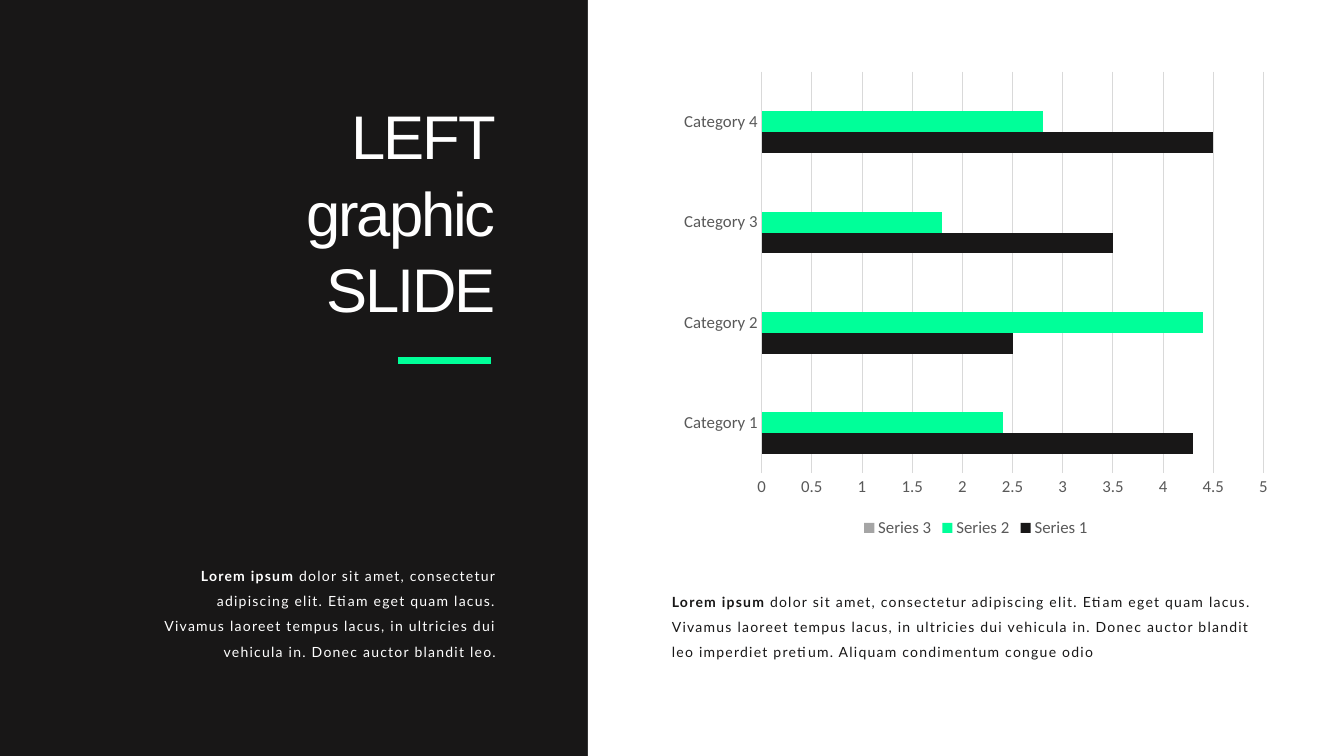
from dataclasses import dataclass

from lxml import etree
from pptx import Presentation
from pptx.chart.data import CategoryChartData
from pptx.dml.color import RGBColor
from pptx.enum.chart import XL_CHART_TYPE, XL_LEGEND_POSITION, XL_TICK_MARK
from pptx.enum.shapes import MSO_CONNECTOR, MSO_SHAPE
from pptx.enum.text import MSO_ANCHOR, MSO_AUTO_SIZE, PP_ALIGN
from pptx.oxml.ns import qn
from pptx.util import Emu, Pt

RIGHT, LEFT = PP_ALIGN.RIGHT, PP_ALIGN.LEFT
TOP, MIDDLE = MSO_ANCHOR.TOP, MSO_ANCHOR.MIDDLE
FIT_SHAPE = MSO_AUTO_SIZE.SHAPE_TO_FIT_TEXT
NO_TICK = XL_TICK_MARK.NONE
PX_PER_INCH = 100.8
SLIDE_WIDTH, SLIDE_HEIGHT = 1344, 756
TITLE_ONLY_LAYOUT = 5


@dataclass(frozen=True)
class Theme:
    dark: RGBColor = RGBColor(0x18, 0x17, 0x17)
    white: RGBColor = RGBColor(0xFF, 0xFF, 0xFF)
    accent: RGBColor = RGBColor(0x00, 0xFF, 0x99)
    gray: RGBColor = RGBColor(0xA5, 0xA5, 0xA5)
    grid: RGBColor = RGBColor(0xD9, 0xD9, 0xD9)
    label: RGBColor = RGBColor(0x59, 0x59, 0x59)
    title_font: str = "Arial"
    body_font: str = "Lato"
    chart_font: str = "Calibri"
    title_size: int = 44
    body_size: int = 10
    chart_size: int = 12


THEME = Theme()


@dataclass(frozen=True)
class Box:
    left: int
    top: int
    width: int
    height: int

    def emu(self) -> tuple[Emu, ...]:
        return tuple(map(px, (self.left, self.top, self.width, self.height)))


@dataclass(frozen=True)
class Blurb:
    box: Box
    text: str
    color: RGBColor
    alignment: PP_ALIGN


@dataclass(frozen=True)
class BarSeries:
    name: str
    values: tuple[float | None, ...]
    color: RGBColor


BLURB_LEAD = "Lorem ipsum "
BLURB_START = (
    "dolor sit amet, consectetur adipiscing elit. Etiam eget quam lacus. "
    "Vivamus laoreet tempus lacus, in ultricies dui vehicula in. Donec auctor blandit leo"
)
BLURBS = (
    Blurb(Box(149, 554, 357, 109), BLURB_START + ".", THEME.white, RIGHT),
    Blurb(
        Box(662, 580, 609, 84),
        BLURB_START + " imperdiet pretium. Aliquam condimentum congue odio",
        THEME.dark,
        LEFT,
    ),
)
CATEGORIES = ("Category 1", "Category 2", "Category 3", "Category 4")
SERIES = (
    BarSeries("Series 1", (4.3, 2.5, 3.5, 4.5), THEME.dark),
    BarSeries("Series 2", (2.4, 4.4, 1.8, 2.8), THEME.accent),
    BarSeries("Series 3", (None,) * len(CATEGORIES), THEME.gray),
)


def px(length: int) -> Emu:
    return Emu(round(length * 914400 / PX_PER_INCH))


def format_run(run, font_name: str, size: int, color: RGBColor, spacing: float) -> None:
    run.font.name = font_name
    run.font.size = Pt(size)
    run.font.color.rgb = color
    run._r.get_or_add_rPr().set("spc", str(round(spacing * 100)))


def add_panel(slide, box: Box) -> None:
    panel = slide.shapes.add_shape(MSO_SHAPE.RECTANGLE, *box.emu())
    panel.shadow.inherit = False
    panel.fill.solid()
    panel.fill.fore_color.rgb = THEME.white
    panel.line.fill.background()


def set_title(slide, box: Box, text: str) -> None:
    title = slide.shapes.title
    title.left, title.top, title.width, title.height = box.emu()
    frame = title.text_frame
    frame.text = text
    frame.word_wrap = True
    frame.auto_size = FIT_SHAPE
    frame.vertical_anchor = MIDDLE
    for paragraph in frame.paragraphs:
        paragraph.alignment = RIGHT
        paragraph.line_spacing = 1.04
        for run in paragraph.runs:
            format_run(run, THEME.title_font, THEME.title_size, THEME.white, -1.5)


def add_blurb(slide, blurb: Blurb) -> None:
    frame = slide.shapes.add_textbox(*blurb.box.emu()).text_frame
    frame.word_wrap = True
    frame.auto_size = FIT_SHAPE
    frame.vertical_anchor = TOP
    paragraph = frame.paragraphs[0]
    paragraph.alignment = blurb.alignment
    paragraph.line_spacing = 1.5
    for text, bold in ((BLURB_LEAD, True), (blurb.text, False)):
        run = paragraph.add_run()
        run.text = text
        run.font.bold = bold
        format_run(run, THEME.body_font, THEME.body_size, blurb.color, 0.9)


def add_rule(slide, left: int, right: int, top: int) -> None:
    rule = slide.shapes.add_connector(
        MSO_CONNECTOR.STRAIGHT, px(left), px(top), px(right), px(top)
    )
    rule.line.color.rgb = THEME.accent
    rule.line.width = Pt(5)
    etree.SubElement(rule._element.spPr, qn("a:effectLst"))


def format_chart_font(font) -> None:
    font.name = THEME.chart_font
    font.size = Pt(THEME.chart_size)
    font.color.rgb = THEME.label


def add_bar_chart(slide, box: Box) -> None:
    data = CategoryChartData()
    data.categories = CATEGORIES
    for series in SERIES:
        data.add_series(series.name, series.values)
    chart = slide.shapes.add_chart(XL_CHART_TYPE.BAR_CLUSTERED, *box.emu(), data).chart
    chart.has_title = False
    chart.has_legend = True
    chart.legend.position = XL_LEGEND_POSITION.BOTTOM
    chart.legend.include_in_layout = False

    plot = chart.plots[0]
    plot.gap_width = 182
    plot.vary_by_categories = False
    for drawn, series in zip(plot.series, SERIES):
        drawn.format.fill.solid()
        drawn.format.fill.fore_color.rgb = series.color

    categories, values = chart.category_axis, chart.value_axis
    for part in (chart, chart.legend):
        format_chart_font(part.font)
    for axis in (categories, values):
        format_chart_font(axis.tick_labels.font)
        axis.major_tick_mark = axis.minor_tick_mark = NO_TICK
    values.minimum_scale, values.maximum_scale, values.major_unit = 0, 5, 0.5
    values.has_major_gridlines = True
    values.format.line.fill.background()
    for line in (categories.format.line, values.major_gridlines.format.line):
        line.color.rgb = THEME.grid
        line.width = Pt(0.75)


def main() -> None:
    presentation = Presentation()
    presentation.slide_width, presentation.slide_height = px(SLIDE_WIDTH), px(SLIDE_HEIGHT)
    slide = presentation.slides.add_slide(presentation.slide_layouts[TITLE_ONLY_LAYOUT])
    slide.background.fill.solid()
    slide.background.fill.fore_color.rgb = THEME.dark

    add_panel(slide, Box(588, 0, SLIDE_WIDTH - 588, SLIDE_HEIGHT))
    add_bar_chart(slide, Box(672, 62, 608, 480))
    set_title(slide, Box(149, 93, 357, 234), "LEFT\ngraphic\nSLIDE")
    add_rule(slide, 398, 491, 361)
    for blurb in BLURBS:
        add_blurb(slide, blurb)
    presentation.save("out.pptx")


if __name__ == "__main__":
    main()
